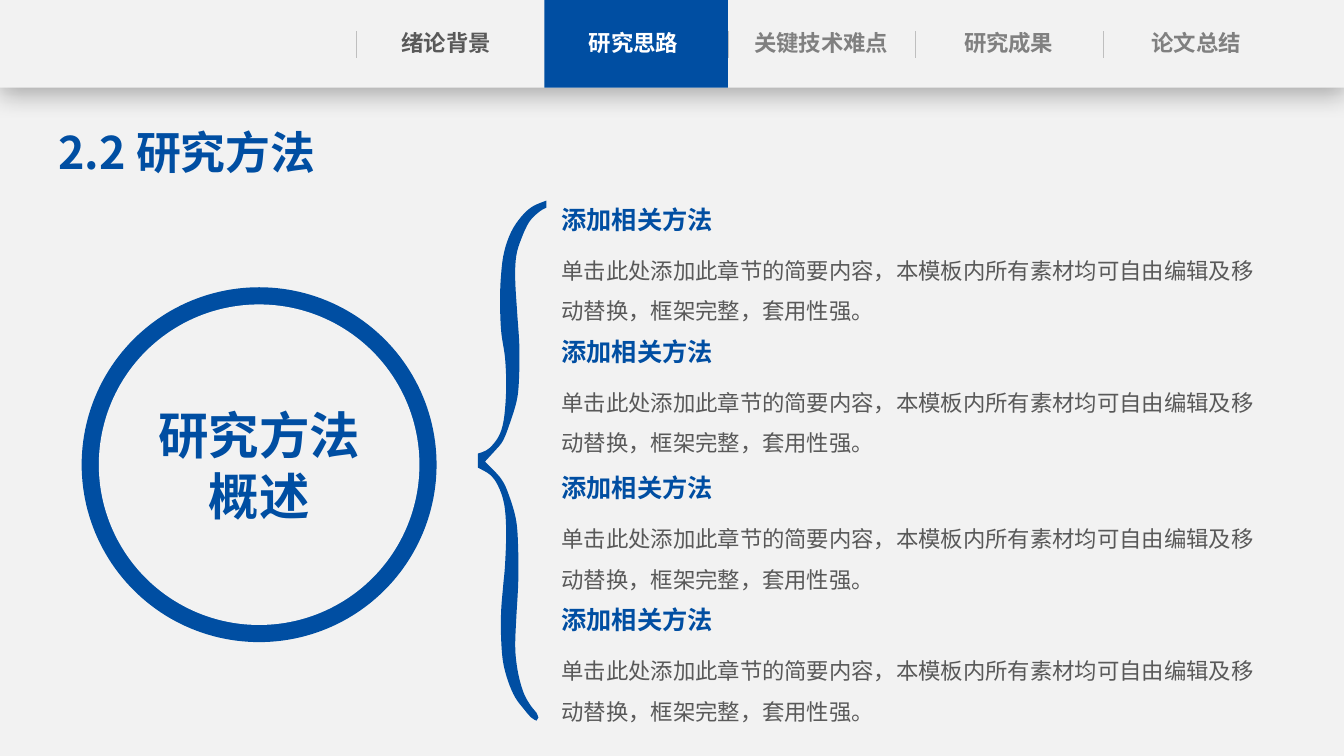
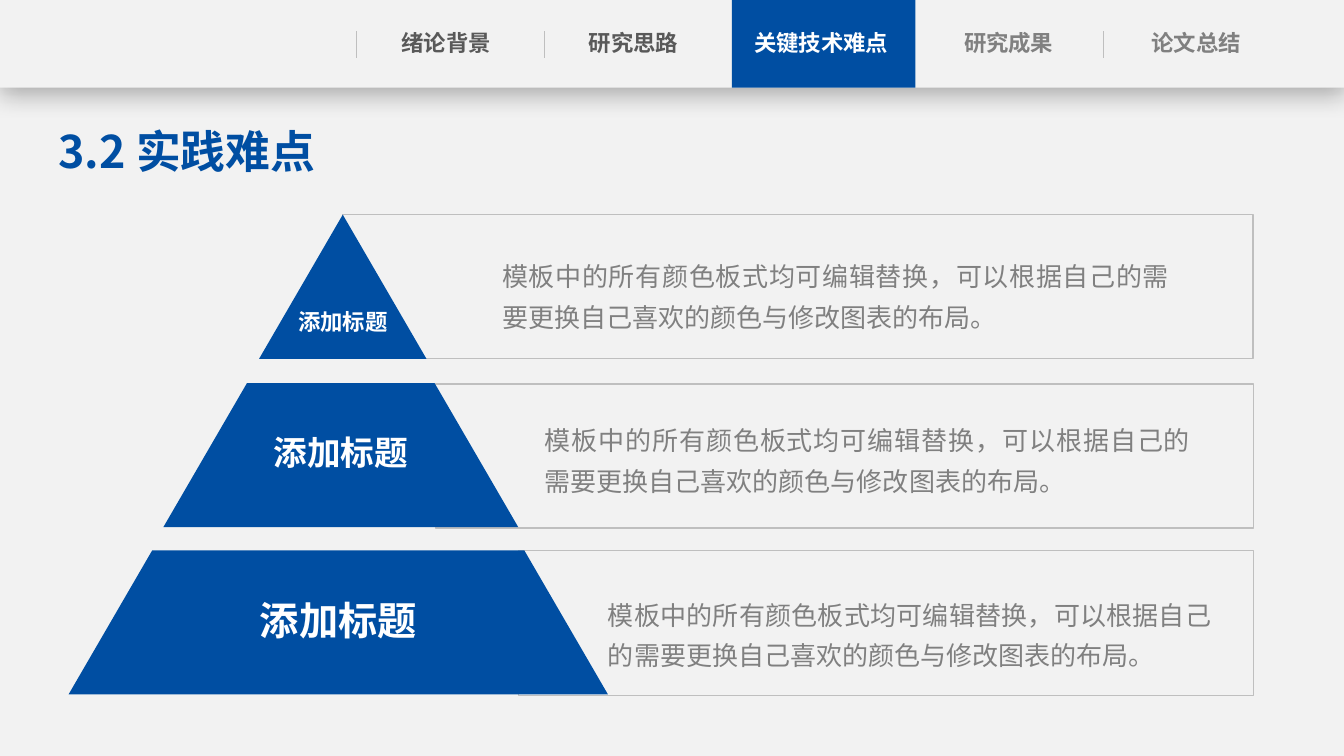
from lxml import etree
from pptx import Presentation
from pptx import util as u
from pptx.dml.color import RGBColor
from pptx.enum import shapes, text
from pptx.oxml.ns import qn

FONT = "Noto Sans CJK SC"
BLUE, PALE, WHITE = "004EA2", "F2F2F2", "FFFFFF"
DARK, GREY, RULE = "595959", "808080", "BFBFBF"
WIDE, HIGH, BAND = 13.33, 7.5, 0.87
RECT, OVAL = shapes.MSO_SHAPE.RECTANGLE, shapes.MSO_SHAPE.OVAL
TABS = ["绪论背景", "研究思路", "关键技术难点", "研究成果", "论文总结"]
MARKS = [3.53, 5.4, 7.22, 9.08, 10.94]
HEAD = "添加相关方法"
BODY = "单击此处添加此章节的简要内容，本模板内所有素材均可自由编辑及移动替换，框架完整，套用性强。"
TIER = "添加标题"
NOTE = "模板中的所有颜色板式均可编辑替换，可以根据自己的需要更换自己喜欢的颜色与修改图表的布局。"
BRACE = [
    [(.68, 0), (.54, .06), (.43, .16), (.33, .31), (.26, .51), (.23, .73), (.22, .98), (.23, 1.29),
     (.27, 1.57), (.28, 1.87), (.26, 2.15), (.22, 2.31), (.15, 2.42), (.08, 2.48), (0, 2.51)],
    [(0, 2.65), (.12, 2.72), (.2, 2.83), (.26, 3.01), (.28, 3.27), (.27, 3.6), (.25, 3.83), (.23, 4.08),
     (.23, 4.34), (.25, 4.58), (.3, 4.77), (.37, 4.93), (.46, 5.05), (.53, 5.13), (.58, 5.16)],
    [(.6, 5.13), (.58, 5.08), (.53, 5.02), (.46, 4.9), (.41, 4.74), (.38, 4.57), (.37, 4.4),
     (.38, 4.15), (.4, 3.79), (.4, 3.48), (.38, 3.18), (.31, 2.93), (.23, 2.76), (.07, 2.59)],
    [(.18, 2.47), (.25, 2.38), (.32, 2.2), (.39, 1.96), (.41, 1.7), (.41, 1.42),
     (.39, 1.12), (.37, .78), (.38, .55), (.43, .38), (.51, .21), (.61, .11), (.68, .07)],
]


def tint(code):
    return RGBColor.from_string(code)


def inch(*nums):
    return [u.Inches(n) for n in nums]


def paint(shape, fill, line=None):
    shape.shadow.inherit = False
    shape.fill.solid()
    shape.fill.fore_color.rgb = tint(fill)
    if line:
        shape.line.color.rgb = tint(line)
        shape.line.width = u.Pt(1)
    else:
        shape.line.fill.background()
    return shape


def block(slide, kind, box, fill, line=None):
    return paint(slide.shapes.add_shape(kind, *inch(*box)), fill, line)


def outline(slide, points, fill):
    first, *rest = [inch(*p) for p in points]
    pen = slide.shapes.build_freeform(*first)
    pen.add_line_segments(rest, close=True)
    return paint(pen.convert_to_shape(), fill)


def write(shape, words, size, color, bold=False, align="LEFT", pad=(.1, .05, .1, .05),
          anchor="TOP", space=None, wrap=True, grow=False):
    frame = shape.text_frame
    frame.text = words
    frame.word_wrap = wrap
    frame.vertical_anchor = text.MSO_ANCHOR[anchor]
    frame.auto_size = text.MSO_AUTO_SIZE.SHAPE_TO_FIT_TEXT if grow else text.MSO_AUTO_SIZE.NONE
    (frame.margin_left, frame.margin_top,
     frame.margin_right, frame.margin_bottom) = inch(*pad)
    para = frame.paragraphs[0]
    para.alignment = text.PP_ALIGN[align]
    if space:
        para.line_spacing = space
    for run in para.runs:
        font = run.font
        font.name, font.size, font.bold = FONT, u.Pt(size), bold
        font.color.rgb = tint(color)
        east = etree.Element(qn("a:ea"), typeface=FONT)
        run._r.rPr.find(qn("a:latin")).addnext(east)


def label(slide, box, words, size, color, **style):
    write(slide.shapes.add_textbox(*inch(*box)), words, size, color, **style)


def mark(slide, x, top, end):
    rule = slide.shapes.add_connector(shapes.MSO_CONNECTOR.STRAIGHT, *inch(x, top, x, end))
    rule.line.color.rgb = tint(RULE)
    rule.line.width = u.Pt(0.5)
    etree.SubElement(rule._element.spPr, qn("a:effectLst"))


def shade(shape):
    glow = etree.SubElement(shape._element.spPr.find(qn("a:effectLst")), qn("a:outerShdw"),
                            blurRad=str(u.Pt(18)), dist=str(u.Pt(4)), dir="5400000",
                            algn="t", rotWithShape="0")
    color = etree.SubElement(glow, qn("a:srgbClr"), val="000000")
    etree.SubElement(color, qn("a:alpha"), val="29000")


def header(slide, active, hidden):
    shade(block(slide, RECT, (0, 0, WIDE, BAND), PALE))
    left, step = 3.69, 1.86
    block(slide, RECT, (left + active * step - .15, 0, 1.82, BAND), BLUE)
    for i, (name, x) in enumerate(zip(TABS, MARKS)):
        if i not in hidden:
            mark(slide, x, .31, .58)
        color = WHITE if i == active else DARK if i < active else GREY
        label(slide, (left + i * step, .24, 1.47, .38), name, 16, color, bold=True,
              align="CENTER", pad=(0, .05, 0, .05), grow=True)


def page(deck, active, hidden, title, top):
    slide = deck.slides.add_slide(deck.slide_layouts[6])
    header(slide, active, hidden)
    label(slide, (.58, top, 3.84, .64), title, 32, BLUE, bold=True,
          pad=(0, .05, 0, .05), grow=True)
    return slide


def ground(deck, slide):
    sheet = block(slide, RECT, (0, 0, WIDE, HIGH), PALE)._element
    sheet.nvSpPr.cNvPr.set("id", "100")
    deck.slide_master.shapes._spTree.insert(2, sheet)


def ring(slide, x, y, size, words):
    rim = .17
    block(slide, OVAL, (x, y, size, size), BLUE)
    inner = size - 2 * rim
    disc = block(slide, OVAL, (x + rim, y + rim, inner, inner), PALE)
    write(disc, words, 36, BLUE, bold=True, align="CENTER", anchor="MIDDLE")


def bends(knots):
    ends = [knots[0], *knots, knots[-1]]
    for a, b, c, d in zip(ends, ends[1:], ends[2:], ends[3:]):
        yield ([q + (r - p) / 6 for p, q, r in zip(a, b, c)],
               [r - (s - q) / 6 for q, r, s in zip(b, c, d)])


def brace(slide, x, y):
    shape = outline(slide, [(x + px, y + py) for part in BRACE for px, py in part], BLUE)
    lines = list(shape._element.iter(qn("a:lnTo")))
    at = 0
    for part in BRACE:
        for line, bend in zip(lines[at:], bends(part)):
            line.tag = qn("a:cubicBezTo")
            for i, (px, py) in enumerate(bend):
                line.insert(i, etree.Element(qn("a:pt"), x=str(u.Inches(px)), y=str(u.Inches(py))))
        at += len(part)


def method(slide, x, y):
    label(slide, (x, y, 1.72, .4), HEAD, 18, BLUE, bold=True, wrap=False, grow=True)
    label(slide, (x, y + .39, 7.19, .91), BODY, 16, DARK, space=1.5, grow=True)


def frame(slide, x, y, high):
    block(slide, RECT, (x, y, 12.43 - x, high), PALE, RULE)


def tier(slide, x, y, width, size, pad):
    high, slant = 1.43, .83
    points = [(x + slant, y), (x + width, y + high), (x, y + high)]
    if width > 2 * slant:
        points.insert(1, (x + width - slant, y))
    write(outline(slide, points, BLUE), TIER, size, WHITE, bold=True, align="CENTER",
          anchor="MIDDLE", pad=(.13, pad, .13, .06))


def note(slide, x, y, width):
    label(slide, (x, y, width, .99), NOTE, 18.6, GREY, align="JUSTIFY",
          anchor="MIDDLE", space=1.3, pad=(0, 0, 0, 0))


def methods(deck):
    slide = page(deck, 1, (1,), "2.2 研究方法", 1.19)
    ground(deck, slide)
    ring(slide, .81, 2.85, 3.52, "研究方法概述")
    brace(slide, 4.74, 1.99)
    for pair in (1.98, 4.64):
        for y in (pair, pair + 1.31):
            method(slide, 5.47, y)


def hurdles(deck):
    slide = page(deck, 2, (2, 3), "3.2 实践难点", 1.18)
    for box in ((4.32, 3.81, 1.43), (5.14, 5.46, 1.44), (3.4, 2.13, 1.43)):
        frame(slide, *box)
    tier(slide, 2.57, 2.13, 1.66, 16, .75)
    tier(slide, 1.62, 3.8, 3.52, 24, 0)
    tier(slide, .68, 5.46, 5.35, 28, 0)
    for box in ((6.03, 5.76, 5.99), (5.4, 4.03, 6.41), (4.98, 2.4, 6.62)):
        note(slide, *box)


def main():
    deck = Presentation()
    deck.slide_width, deck.slide_height = inch(WIDE, HIGH)
    methods(deck)
    hurdles(deck)
    deck.save("out.pptx")


if __name__ == "__main__":
    main()
